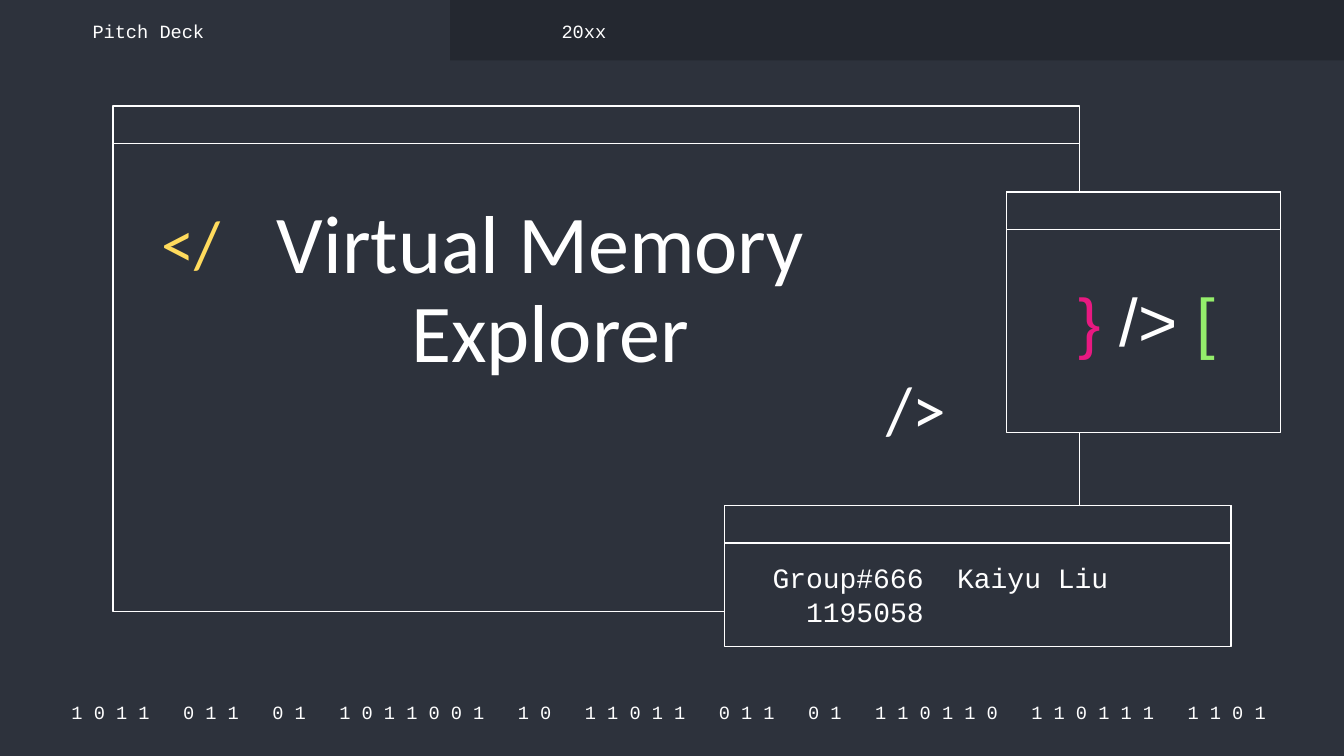
from pptx import Presentation
from pptx import util as u
from pptx.dml.color import RGBColor
from pptx.enum import shapes, text

COLORS = {
    "background": "2D323C",
    "bar": "242830",
    "white": "FFFFFF",
    "yellow": "FFDB5D",
    "pink": "E81981",
    "green": "94EE6B",
}
CODE_FONT = "Courier New"
TITLE_BAR_HEIGHT = 0.28


def rgb(name):
    return RGBColor.from_string(COLORS[name])


def add_run(paragraph, content, font=CODE_FONT, size=10, color="white"):
    run = paragraph.add_run()
    run.text = content
    run.font.name = font
    run.font.size = u.Pt(size)
    run.font.color.rgb = rgb(color)


class SlideBuilder:
    def __init__(self, slide):
        self.slide = slide
        slide.background.fill.solid()
        slide.background.fill.fore_color.rgb = rgb("background")

    def rectangle(self, container, box, fill, line=None):
        shape = container.add_shape(
            shapes.MSO_SHAPE.RECTANGLE, *map(u.Inches, box))
        shape.shadow.inherit = False
        shape.fill.solid()
        shape.fill.fore_color.rgb = rgb(fill)
        if line:
            shape.line.color.rgb = rgb(line)
            shape.line.width = u.Pt(0.75)
        else:
            shape.line.fill.background()

    def window(self, left, top, width, height):
        group = self.slide.shapes.add_group_shape()
        for part_height in (height, TITLE_BAR_HEIGHT):
            self.rectangle(group.shapes, (left, top, width, part_height),
                           "background", "white")

    def frame(self, shape, anchor):
        frame = shape.text_frame
        frame.word_wrap = True
        frame.auto_size = text.MSO_AUTO_SIZE.NONE
        frame.vertical_anchor = anchor
        frame.margin_left = frame.margin_right = u.Inches(0.1)
        frame.margin_top = frame.margin_bottom = u.Inches(0.1)
        return frame

    def label(self, box, runs, align=text.PP_ALIGN.LEFT, spacing=1.0,
              anchor=text.MSO_ANCHOR.MIDDLE):
        shape = self.slide.shapes.add_textbox(*map(u.Inches, box))
        paragraph = self.frame(shape, anchor).paragraphs[0]
        paragraph.alignment = align
        paragraph.line_spacing = spacing
        for content, style in runs:
            add_run(paragraph, content, **style)
        return paragraph

    def title(self, box, lines):
        shape = self.slide.shapes.title
        shape.left, shape.top, shape.width, shape.height = map(u.Inches, box)
        shape.element.getparent().append(shape.element)
        paragraph = self.frame(shape, text.MSO_ANCHOR.TOP).paragraphs[0]
        paragraph.alignment = text.PP_ALIGN.LEFT
        paragraph.line_spacing = 0.9
        paragraph._p.get_or_add_pPr().set("defTabSz", str(u.Inches(1)))
        for index, line in enumerate(lines):
            if index:
                paragraph.add_line_break()
            add_run(paragraph, line, font="Calibri", size=44)


def main():
    presentation = Presentation()
    presentation.slide_width = u.Inches(10)
    presentation.slide_height = u.Inches(5.625)
    builder = SlideBuilder(
        presentation.slides.add_slide(presentation.slide_layouts[5]))

    binary = ("1 0 1 1   0 1 1   0 1   1 0 1 1 0 0 1   1 0   1 1 0 1 1   "
              "0 1 1   0 1   1 1 0 1 1 0   1 1 0 1 1 1   1 1 0 1 ")
    builder.label((0.38, 5.2, 9.27, 0.2), [(binary, {})],
                  align=text.PP_ALIGN.CENTER)
    builder.rectangle(builder.slide.shapes, (3.35, 0, 6.65, 0.45), "bar")

    builder.window(0.84, 0.79, 7.19, 3.76)
    builder.window(5.39, 3.76, 3.77, 1.05)
    builder.window(7.49, 1.43, 2.04, 1.79)

    for left, top, tag, color in ((1.1, 1.51, "</", "yellow"),
                                  (6.5, 2.74, "/>", "white")):
        style = {"font": "Calibri", "size": 36, "color": color}
        builder.label((left, top, 0.77, 0.66), [(tag, style)], spacing=0.9)

    symbols = (("}", "pink"), (" /> ", "white"), ("[", "green"))
    builder.label(
        (7.87, 2.05, 1.33, 0.82),
        [(symbol, {"font": "Arial", "size": 36, "color": color})
         for symbol, color in symbols],
        align=text.PP_ALIGN.CENTER, spacing=0.9, anchor=text.MSO_ANCHOR.TOP)

    builder.title((1.96, 1.41, 4.97, 1.83), ["Virtual Memory ", "\tExplorer"])

    author = builder.label((5.65, 4.13, 3.33, 0.58),
                           [("Group#666  Kaiyu Liu", {"size": 15})])
    properties = author._p.get_or_add_pPr()
    properties.set("marL", str(u.Inches(0.25)))
    properties.set("indent", str(u.Inches(-0.25)))
    author.add_line_break()
    add_run(author, "1195058", size=15)

    for left, caption in ((0.59, "Pitch Deck"), (4.08, "20xx")):
        builder.label((left, 0.13, 2.19, 0.2), [(caption, {})])

    presentation.save("out.pptx")


if __name__ == "__main__":
    main()
